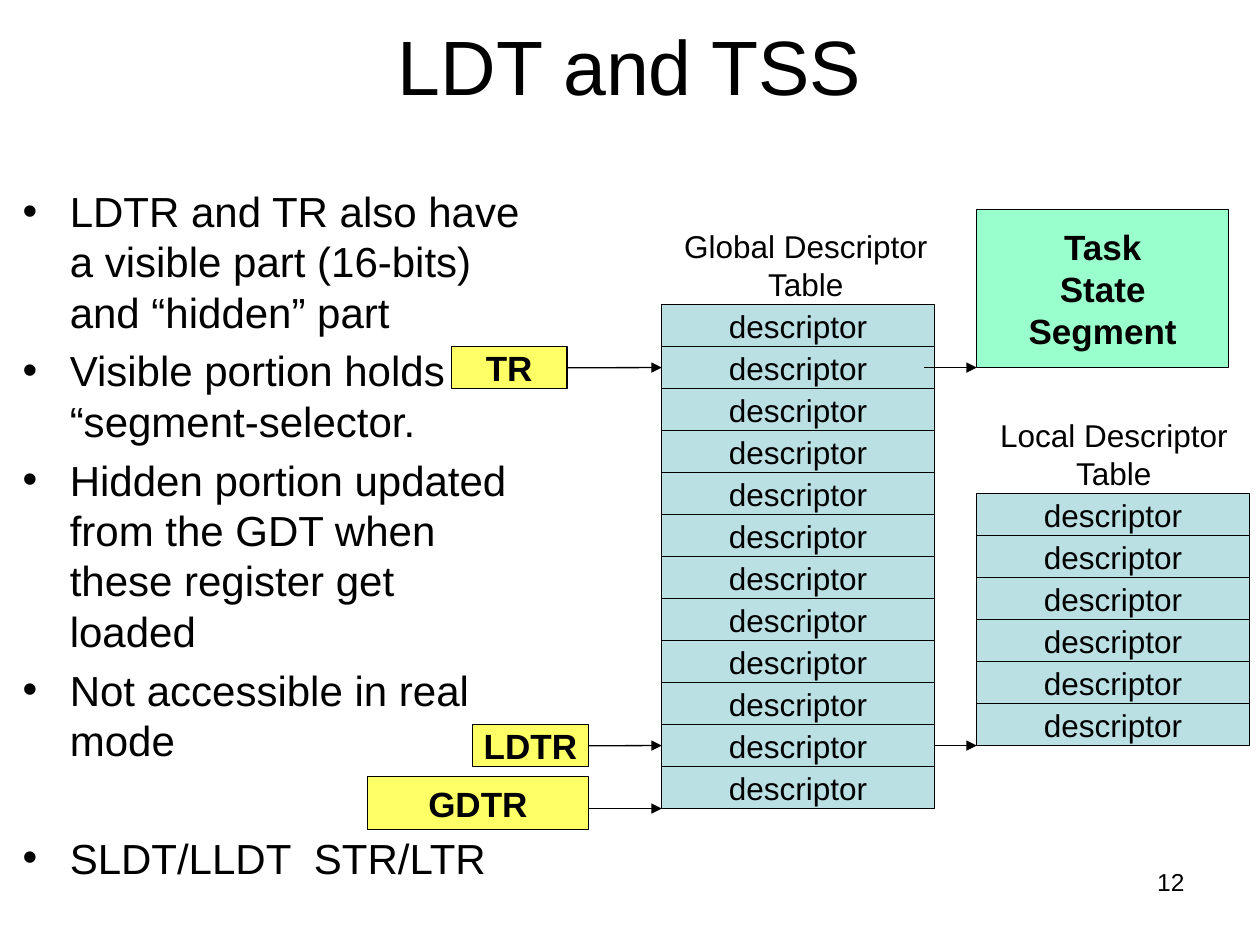
from lxml import etree
from pptx import Presentation
from pptx.dml.color import RGBColor
from pptx.enum import shapes, text
from pptx.oxml import ns
from pptx.util import Cm, Pt

BLACK = RGBColor(0x00, 0x00, 0x00)
MINT = RGBColor(0x99, 0xFF, 0xCC)
TEAL = RGBColor(0xBB, 0xE0, 0xE3)
YELLOW = RGBColor(0xFF, 0xFF, 0x66)
CENTER, RIGHT = text.PP_ALIGN.CENTER, text.PP_ALIGN.RIGHT

prs = Presentation()
prs.slide_width, prs.slide_height = Cm(25.4), Cm(19.05)
slide = prs.slides.add_slide(prs.slide_layouts[1])


def write(shape, content, size, align=None, bold=False):
    """Set the text of a shape and format all of its paragraphs."""
    frame = shape.text_frame
    frame.text = content
    frame.auto_size = text.MSO_AUTO_SIZE.NONE
    for paragraph in frame.paragraphs:
        if align is not None:
            paragraph.alignment = align
        for run in paragraph.runs:
            run.font.name = "Arial"
            run.font.size = Pt(size)
            run.font.bold = bold
            run.font.color.rgb = BLACK


def add_box(content, left, top, width, height, fill, size=20, bold=True):
    """Add an outlined rectangle with centred text."""
    box = slide.shapes.add_shape(shapes.MSO_SHAPE.RECTANGLE,
                                 Cm(left), Cm(top), Cm(width), Cm(height))
    box.shadow.inherit = False
    box.fill.solid()
    box.fill.fore_color.rgb = fill
    box.line.color.rgb = BLACK
    box.line.width = Pt(0.75)
    write(box, content, size, CENTER, bold)
    box.text_frame.word_wrap = False
    box.text_frame.vertical_anchor = text.MSO_ANCHOR.MIDDLE
    return box


# Title
title = slide.shapes.title
title.left, title.top, title.width, title.height = Cm(1.27), Cm(0.2), Cm(22.86), Cm(2.21)
write(title, "LDT and TSS", 44, CENTER)
title.text_frame.vertical_anchor = text.MSO_ANCHOR.MIDDLE

# Bullet list
points = slide.placeholders[1]
points.left, points.top, points.width, points.height = Cm(0.2), Cm(3.61), Cm(10.59), Cm(13.54)
write(points, "\n".join([
    "LDTR and TR also have a visible part (16-bits) and “hidden” part",
    "Visible portion holds “segment-selector.",
    "Hidden portion updated from the GDT when these register get loaded",
    "Not accessible in real mode",
    "SLDT/LLDT  STR/LTR",
]), 24)
for point, space in zip(points.text_frame.paragraphs, (0, 4.8, 4.8, 4.8, 38.5)):
    point.space_before = Pt(space)

# Table captions and slide number
for content, left, top, width, height, size, align in (
    ("Global Descriptor\nTable", 13.54, 4.45, 5.41, 1.78, 18, CENTER),
    ("Local Descriptor\nTable", 19.9, 8.26, 5.11, 1.78, 18, CENTER),
    ("12", 18.21, 17.35, 5.92, 1.32, 14, RIGHT),
):
    caption = slide.shapes.add_textbox(Cm(left), Cm(top), Cm(width), Cm(height))
    write(caption, content, size, align)
    caption.text_frame.word_wrap = True

# Descriptor tables
ROW = 10.16 / 12
gdt, ldt = [
    [add_box("descriptor", left, top + i * ROW, 5.5, ROW, TEAL, 18, False)
     for i in range(count)]
    for left, top, count in ((13.34, 6.14, 12), (19.69, 9.95, 6))
]

# Task state segment and registers
add_box("Task\nState\nSegment", 19.69, 4.23, 5.08, 3.18, MINT)
gdtr = add_box("GDTR", 7.41, 15.66, 4.45, 1.06, YELLOW)
ldtr = add_box("LDTR", 9.53, 14.61, 2.33, ROW, YELLOW)
tr = add_box("TR", 9.1, 6.99, 2.33, ROW, YELLOW)

# Arrows, joined where they meet the middle of a side
for x1, x2, y, source, target in (
    (11.43, 13.34, 7.41, tr, gdt[1]),
    (18.63, 19.69, 7.41, None, None),
    (11.86, 13.34, 15.03, ldtr, gdt[10]),
    (18.84, 19.69, 15.03, gdt[10], None),
    (11.86, 13.34, 16.3, None, None),
):
    arrow = slide.shapes.add_connector(shapes.MSO_CONNECTOR.STRAIGHT,
                                       Cm(x1), Cm(y), Cm(x2), Cm(y))
    if source:
        arrow.begin_connect(source, 3)
    if target:
        arrow.end_connect(target, 1)
    arrow.line.color.rgb = BLACK
    arrow.line.width = Pt(0.75)
    etree.SubElement(arrow.line._get_or_add_ln(), ns.qn("a:tailEnd"), type="triangle")
    etree.SubElement(arrow._element.spPr, ns.qn("a:effectLst"))

prs.save("out.pptx")
